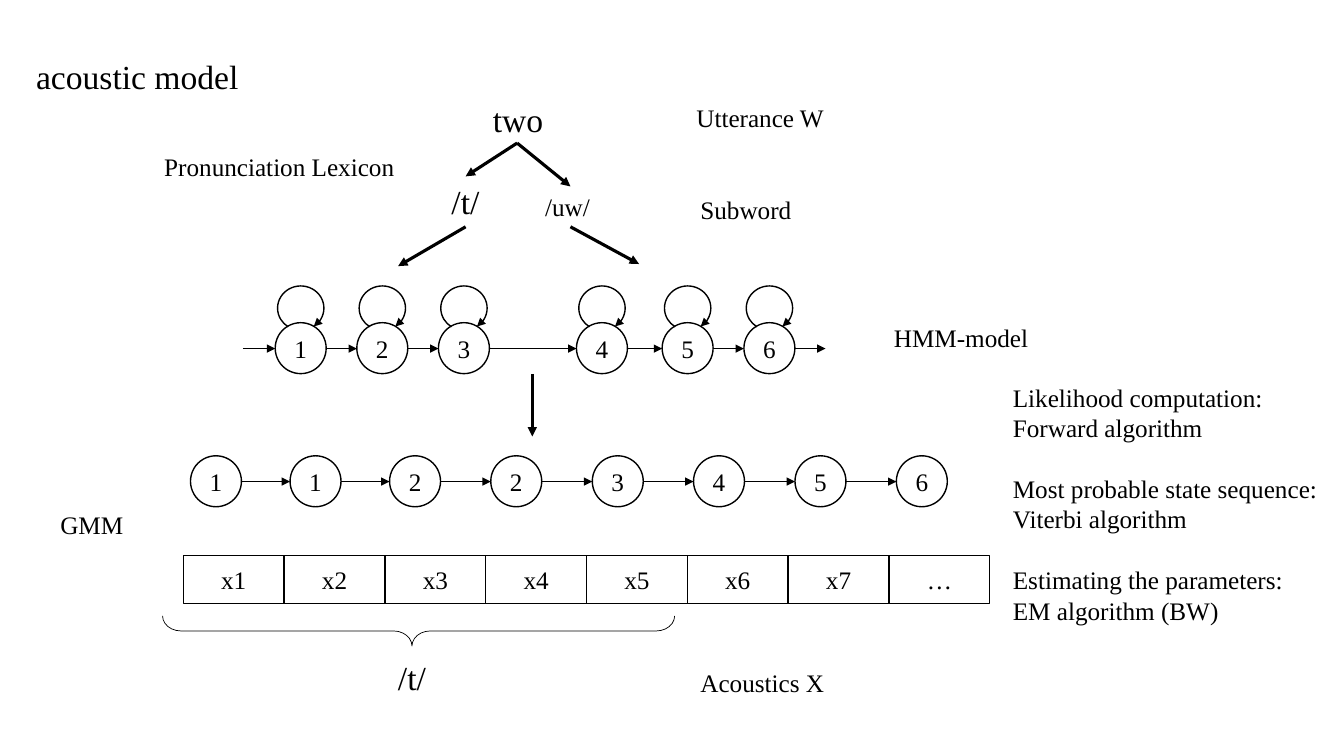
from itertools import pairwise
from pptx import Presentation
from pptx import util as u
from pptx.dml.color import RGBColor
from pptx.enum import shapes, text
from pptx.oxml.ns import qn
from lxml import etree

Pt = u.Pt
COLORS = {"ink": "000000"}
INK = RGBColor.from_string(COLORS["ink"])
FONT = "Times New Roman"
SHAPE = shapes.MSO_SHAPE

prs = Presentation()
prs.slide_width, prs.slide_height = Pt(960), Pt(540)
s = prs.slides.add_slide(prs.slide_layouts[6])


def add_outline(kind, x, y, w, h, label="", weight=1):
    sp = s.shapes.add_shape(kind, Pt(x), Pt(y), Pt(w), Pt(h))
    sp.shadow.inherit = False
    sp.fill.background()
    sp.line.color.rgb = INK
    sp.line.width = Pt(weight)
    if label:
        tf = sp.text_frame
        tf.word_wrap = False
        tf.vertical_anchor = text.MSO_ANCHOR.MIDDLE
        p = tf.paragraphs[0]
        p.alignment = text.PP_ALIGN.CENTER
        r = p.add_run()
        r.text = label
        for name, value in {"size": Pt(18), "name": FONT}.items():
            setattr(r.font, name, value)
        r.font.color.rgb = INK
    return sp


def add_head(sp):
    ln = sp.line._get_or_add_ln()
    etree.SubElement(ln, qn("a:tailEnd"), type="triangle")


labels = [
    ("acoustic model", 18.7, 36.7, 168.5, 24),
    ("two", 344.9, 67, 51.1, 24),
    ("/t/", 315.4, 126, 34.6, 24),
    ("/t/", 277.2, 465.8, 34.6, 24),
    ("/uw/", 382.3, 133.2, 51.1, 18),
    ("Pronunciation Lexicon", 110.2, 104.4, 190.8, 18),
    ("Utterance W", 490.3, 69.8, 106.6, 18),
    ("Subword", 493.2, 135.4, 79.9, 18),
    ("HMM-model", 631.4, 226.8, 111.6, 18),
    ("GMM", 36, 360, 59.8, 18),
    ("Acoustics X", 493.2, 473, 103.7, 18),
    ("Likelihood computation:\nForward algorithm\n"
     "Most probable state sequence:\nViterbi algorithm\n"
     "Estimating the parameters:\nEM algorithm (BW)", 716.4, 269.3, 234, 18),
]
for words, x, y, w, size in labels:
    lines = words.split("\n")
    h = 181.4 if len(lines) > 1 else size * 1.2 + 7.2
    tf = s.shapes.add_textbox(Pt(x), Pt(y), Pt(w), Pt(h)).text_frame
    tf.word_wrap = False
    tf.auto_size = text.MSO_AUTO_SIZE.SHAPE_TO_FIT_TEXT
    for i, line in enumerate(lines):
        p = tf.paragraphs[0] if i == 0 else tf.add_paragraph()
        if len(lines) > 1:
            p.line_spacing = Pt(21.7)
            p.space_before = Pt(21.7 if i and i % 2 == 0 else 0)
        r = p.add_run()
        r.text = line
        for name, value in {"size": Pt(size), "name": FONT}.items():
            setattr(r.font, name, value)
        r.font.color.rgb = INK

arrows = [
    (369.4, 102.2, 332.6, 126, 2.25),
    (369.4, 102.2, 407.5, 133.2, 2.25),
    (332.6, 162, 284.4, 190.1, 2.25),
    (407.5, 162, 456.5, 188.6, 2.25),
    (380.2, 267.1, 380.2, 311.8, 2.25),
]

DIAMETER = 36.4
model_x = [196.6, 254.9, 313.2, 411.8, 473, 531.4]
for state, x in enumerate(model_x, 1):
    add_outline(SHAPE.OVAL, x, 230.5, DIAMETER, DIAMETER, str(state))
    loop = add_outline(SHAPE.ARC, x + 1.7, 204.3, 33.1, 31.7)
    loop.adjustments[0], loop.adjustments[1] = 74.276, 32.815
    add_head(loop)

sequence_x = [136.1, 207.2, 278.3, 350.6, 423.1, 495.4, 567.9, 640.3]
for state, x in zip("11223456", sequence_x):
    add_outline(SHAPE.OVAL, x, 325.6, DIAMETER, DIAMETER, state)

model_stops = [173.5 - DIAMETER, *model_x, 589.7]
for stops, y in ((model_stops, 249), (sequence_x, 344)):
    for a, b in pairwise(stops):
        arrows.append((a + DIAMETER, y, b, y, 1))

for x1, y1, x2, y2, weight in arrows:
    c = s.shapes.add_connector(shapes.MSO_CONNECTOR.STRAIGHT, Pt(x1), Pt(y1), Pt(x2), Pt(y2))
    c.line.color.rgb = INK
    c.line.width = Pt(weight)
    add_head(c)
    etree.SubElement(c._element.spPr, qn("a:effectLst"))

for i, frame in enumerate(["x1", "x2", "x3", "x4", "x5", "x6", "x7", "…"]):
    add_outline(SHAPE.RECTANGLE, 131 + 72 * i, 396.6, 72, 34.6, frame)

brace = add_outline(SHAPE.RIGHT_BRACE, 288.2, 267.8, 21.6, 365.8, weight=0.5)
brace.rotation = 90
brace.adjustments[0], brace.adjustments[1] = 0.608, 0.513

prs.save("out.pptx")
